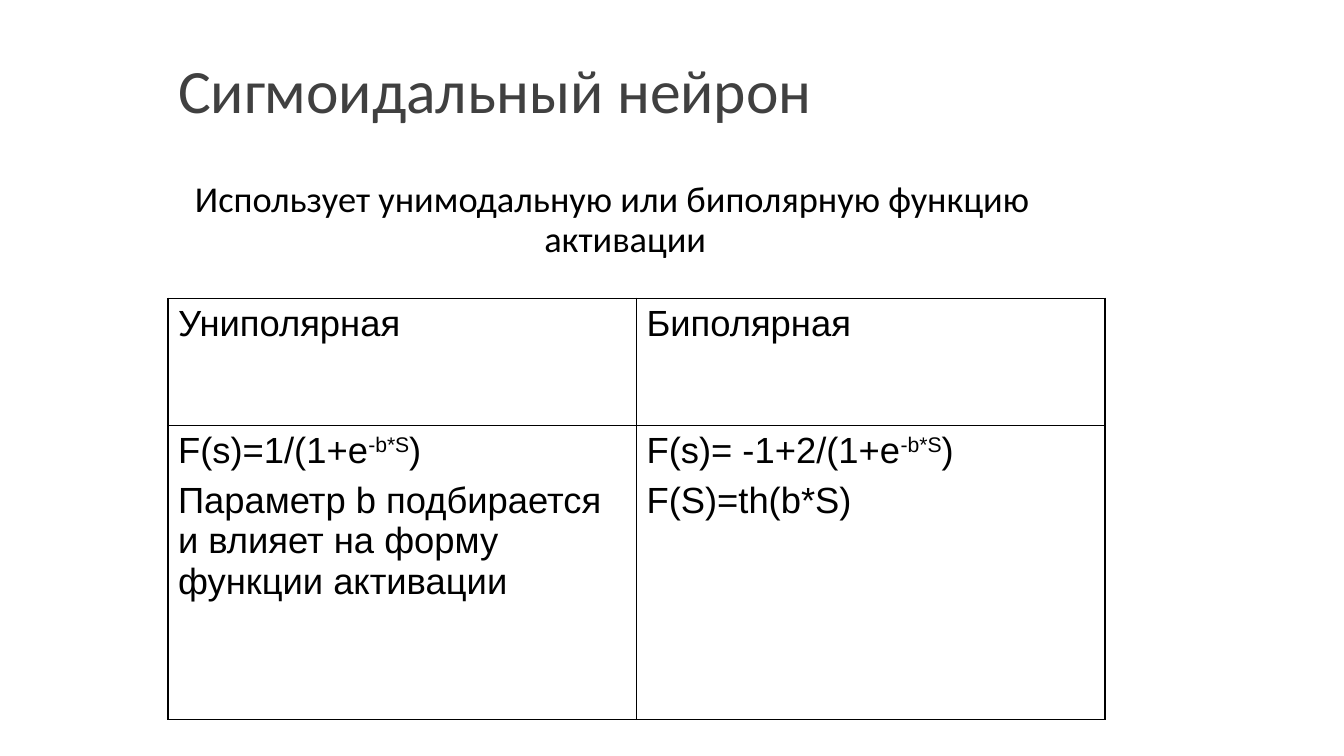
"""Build the slide on the sigmoidal neuron with its table of activation functions."""
from lxml import etree
from pptx import Presentation
from pptx.dml.color import RGBColor
from pptx.enum.text import MSO_ANCHOR, MSO_AUTO_SIZE, PP_ALIGN
from pptx.oxml.ns import qn
from pptx.util import Inches, Pt

LEFT = PP_ALIGN.LEFT
CENTER = PP_ALIGN.CENTER
MIDDLE = MSO_ANCHOR.MIDDLE
TOP = MSO_ANCHOR.TOP
NO_AUTOFIT = MSO_AUTO_SIZE.NONE

BLACK = RGBColor(0x00, 0x00, 0x00)
GRAY = RGBColor(0x40, 0x40, 0x40)

WIDTH, HEIGHT = Inches(13.34), Inches(7.5)
MARGIN = WIDTH // 8
HANGING = Inches(0.25)
COLUMN_WIDTH = Inches(4.65)
ROW_HEIGHTS = [Inches(1.26), Inches(2.92)]
OUTER_LINE, INNER_LINE = Pt(1.08), Pt(0.45)

EXPONENT = "-b*S"
CELLS = [
    [[["Униполярная"]], [["Биполярная"]]],
    [
        [
            ["F(s)=1/(1+e", EXPONENT, ")"],
            ["Параметр b подбирается и влияет на форму функции активации"],
        ],
        [["F(s)= -1+2/(1+e", EXPONENT, ")"], ["F(S)=th(b*S)"]],
    ],
]


def add_run(paragraph, text, size, font_name, color):
    run = paragraph.add_run()
    run.text = text
    run.font.size = Pt(size)
    run.font.name = font_name
    run.font.color.rgb = color
    return run


def add_border(cell, side, width):
    properties = cell._tc.get_or_add_tcPr()
    line = etree.SubElement(properties, qn(f"a:ln{side}"), w=str(width))
    fill = etree.SubElement(line, qn("a:solidFill"))
    etree.SubElement(fill, qn("a:srgbClr"), val=str(BLACK))


presentation = Presentation()
presentation.slide_width, presentation.slide_height = WIDTH, HEIGHT
slide = presentation.slides.add_slide(presentation.slide_layouts[1])
title, body = slide.placeholders

title.left, title.top = MARGIN, Inches(0.3)
title.width, title.height = Inches(9), Inches(1.25)
body.left, body.top = MARGIN, Inches(1.75)
body.width, body.height = Inches(8.83), Inches(2.35)

for shape, text, size, color, alignment, anchor in [
    (title, "Сигмоидальный нейрон", 44, GRAY, LEFT, MIDDLE),
    (body, "Использует унимодальную или биполярную функцию активации",
     26, BLACK, CENTER, TOP),
]:
    frame = shape.text_frame
    frame.word_wrap = True
    frame.auto_size = NO_AUTOFIT
    frame.vertical_anchor = anchor
    paragraph = frame.paragraphs[0]
    paragraph.alignment = alignment
    paragraph.line_spacing = 0.9
    paragraph.space_before = Pt(0)
    add_run(paragraph, text, size, "Calibri", color)

body_properties = body.text_frame.paragraphs[0]._p.get_or_add_pPr()
body_properties.set("marL", str(HANGING))
body_properties.set("indent", str(-HANGING))
etree.SubElement(body_properties, qn("a:buNone"))

table = slide.shapes.add_table(
    len(CELLS), len(CELLS[0]), MARGIN, Inches(2.96),
    COLUMN_WIDTH * len(CELLS[0]), sum(ROW_HEIGHTS),
).table
table.first_row = False
table.horz_banding = False

for column in table.columns:
    column.width = COLUMN_WIDTH

for row_index, row_cells in enumerate(CELLS):
    table.rows[row_index].height = ROW_HEIGHTS[row_index]
    for column_index, paragraphs in enumerate(row_cells):
        cell = table.cell(row_index, column_index)
        outer_sides = "LR"[column_index] + "TB"[row_index]
        for side in "LRTB":
            add_border(cell, side, OUTER_LINE if side in outer_sides else INNER_LINE)
        cell.fill.background()

        frame = cell.text_frame
        for paragraph_index, texts in enumerate(paragraphs):
            paragraph = frame.add_paragraph() if paragraph_index else frame.paragraphs[0]
            paragraph.space_before = Pt(6.5 if paragraph_index else 0)
            for text in texts:
                run = add_run(paragraph, text, 26, "Arial", BLACK)
                if text == EXPONENT:
                    run._r.get_or_add_rPr().set("baseline", "30000")

presentation.save("out.pptx")
